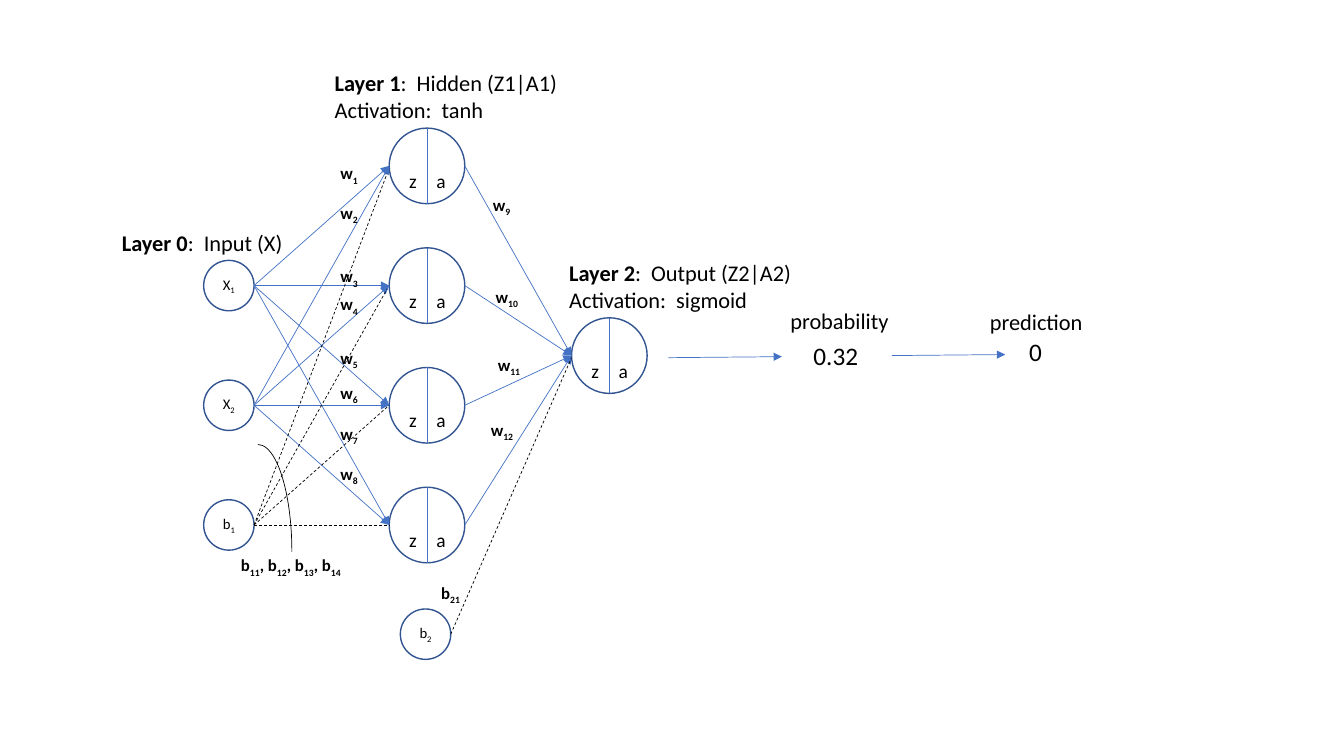
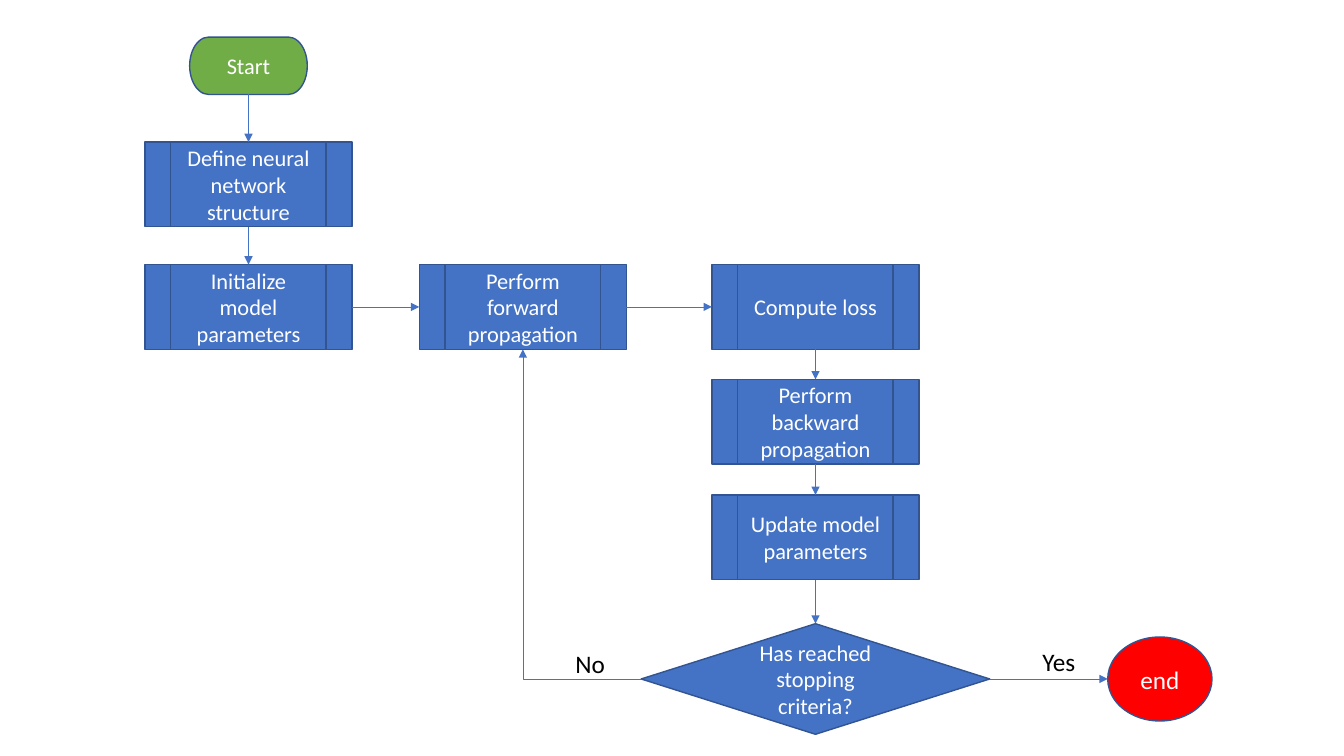
from lxml import etree
from pptx import Presentation
from pptx.dml.color import RGBColor
from pptx.enum import dml, shapes, text
from pptx.oxml import ns
from pptx.util import Pt

BLUE = RGBColor(0x44, 0x72, 0xC4)
NAVY = RGBColor(0x32, 0x54, 0x91)
GREEN = RGBColor(0x70, 0xAD, 0x47)
RED = RGBColor(0xFF, 0x00, 0x00)
BLACK = RGBColor(0x00, 0x00, 0x00)
WHITE = RGBColor(0xFF, 0xFF, 0xFF)
FONT = "Calibri"
PRESET = shapes.MSO_SHAPE
CIRCLE = PRESET.FLOWCHART_CONNECTOR
PROCESS = PRESET.FLOWCHART_PREDEFINED_PROCESS


def add_part(canvas, frame, paragraphs, size, preset=None, fill=None, ink=BLACK):
    frame = [Pt(length) for length in frame]
    if preset is None:
        part = canvas.add_textbox(*frame)
        part.text_frame.auto_size = text.MSO_AUTO_SIZE.SHAPE_TO_FIT_TEXT
    else:
        part = canvas.add_shape(preset, *frame)
        part.shadow.inherit = False
        part.line.color.rgb = NAVY
        part.line.width = Pt(1)
        part.text_frame.vertical_anchor = text.MSO_ANCHOR.MIDDLE
        if fill is None:
            part.fill.background()
        else:
            part.fill.solid()
            part.fill.fore_color.rgb = fill
    part.text_frame.word_wrap = True
    for number, pieces in enumerate(paragraphs):
        paragraph = part.text_frame.paragraphs[0] if number == 0 else part.text_frame.add_paragraph()
        paragraph.alignment = text.PP_ALIGN.CENTER if preset else text.PP_ALIGN.LEFT
        for wording, style in pieces:
            run = paragraph.add_run()
            run.text = wording
            run.font.name = FONT
            run.font.size = Pt(size)
            run.font.bold = "bold" in style
            run.font.color.rgb = ink
            if "sub" in style:
                run.font._element.set("baseline", "-25000")
    return part


def add_link(canvas, start, end, color=BLUE, arrow=True, dashed=False,
             route=shapes.MSO_CONNECTOR.STRAIGHT):
    link = canvas.add_connector(route, *[Pt(length) for length in (*start, *end)])
    link.line.color.rgb = color
    link.line.width = Pt(0.5)
    if dashed:
        link.line.dash_style = dml.MSO_LINE.DASH
    if arrow:
        etree.SubElement(link.line._get_or_add_ln(), ns.qn("a:tailEnd"), type="triangle")
    etree.SubElement(link._element.spPr, ns.qn("a:effectLst"))
    return link


deck = Presentation()
deck.slide_width = Pt(960)
deck.slide_height = Pt(540)
blank = deck.slide_layouts[6]

network = deck.slides.add_slide(blank).shapes

rows = [118.5 + 85.5 * row for row in range(4)]
input_size, neuron_size = 36, 54
input_left, hidden_left, output_left = 145.5, 278, 408.25
input_right = input_left + input_size
hidden_right = hidden_left + neuron_size
output_y = 254
second_bias = (286, 435)

inputs = [("X", "1", input_left, rows[1] - input_size / 2),
          ("X", "2", input_left, rows[2] - input_size / 2),
          ("b", "1", input_left, rows[3] - input_size / 2),
          ("b", "2", *second_bias)]
for letter, index, left, top in inputs:
    add_part(network, (left, top, input_size, input_size),
             [[(letter, ""), (index, "sub")]], 10.5, CIRCLE)

neurons = [(hidden_left, y) for y in rows] + [(output_left, output_y)]
for left, y in neurons:
    neuron = network.add_group_shape().shapes
    top, middle = y - neuron_size / 2, left + neuron_size / 2
    add_part(neuron, (left, top, neuron_size, neuron_size), [], 24, CIRCLE)
    add_link(neuron, (middle, top), (middle, top + neuron_size), arrow=False)
    for letter, offset in (("z", 7.2), ("a", 26.6)):
        add_part(neuron, (left + offset, top + 9.6, 20, 26.6), [[(letter, "sub")]], 24)

for source_y in rows[1:3]:
    for target_y in rows:
        add_link(network, (input_right, source_y), (hidden_left, target_y))
for y in rows:
    add_link(network, (hidden_right, y), (output_left, output_y))

bias_ends = [(276.5, 124), (276.5, 206.5), (hidden_left, rows[2]), (hidden_left, rows[3])]
bias_links = [((input_right, rows[3]), end) for end in bias_ends]
bias_links.append(((second_bias[0] + input_size, second_bias[1] + input_size / 2),
                   (output_left, 255.5)))
for start, end in bias_links:
    add_link(network, start, end, BLACK, arrow=False, dashed=True)

bias_arc = add_part(network, (160, 317.5, 48.5, 153.5), [], 12, PRESET.ARC)
bias_arc.line.color.rgb = BLACK
bias_arc.line.width = Pt(0.5)

weight_places = [(236, top) for top in (113, 141, 186.5, 206.5, 245, 270, 299, 327.5)]
weight_places += [(345, 135.5), (347, 201.5), (348.5, 250), (343.5, 296)]
for number, (left, top) in enumerate(weight_places, 1):
    add_part(network, (left, top, 39.6, 21.6),
             [[("w", "bold"), (str(number), "bold sub")]], 12)

first_biases = [("b", "bold"), ("11", "bold sub")]
for index in ("12", "13", "14"):
    first_biases += [(", b", "bold"), (index, "bold sub")]
add_part(network, (165, 393, 96.5, 21.6), [first_biases], 12)
add_part(network, (308, 412.5, 32.4, 22), [[("b", "bold"), ("21", "bold sub")]], 12)

layers = [("Layer 0", ":  Input (X)", None, (80, 160, 132.5, 26.6)),
          ("Layer 1", ":  Hidden (Z1|A1)", "Activation:  tanh", (232, 46, 179, 46)),
          ("Layer 2", ":  Output (Z2|A2)", "Activation:  sigmoid", (399.5, 181.5, 190, 46))]
for layer, role, activation, frame in layers:
    heading = [[(layer, "bold"), (role, "")]]
    if activation:
        heading.append([(activation, "")])
    add_part(network, frame, heading, 16)

results = [("probability", 16, (557.5, 216, 97, 26.6)), ("0.32", 18, (574, 239.5, 62.5, 29)),
           ("prediction", 16, (700, 216.5, 97, 26.6)), ("0", 18, (728, 237, 31.5, 29))]
for wording, size, frame in results:
    add_part(network, frame, [[(wording, "")]], size)
add_link(network, (477.5, 255.5), (558.5, 254.75))
add_link(network, (637, 254), (718, 253.25))

flow = deck.slides.add_slide(blank).shapes

setup_x, forward_x, loop_x = 177.5, 373.5, 582.5
process = (148, 60.5)
steps = [("Start", PRESET.FLOWCHART_TERMINATOR, GREEN, setup_x, 26.5, (84, 41), 16),
         ("Define neural network structure", PROCESS, BLUE, setup_x, 101.5, process, 16),
         ("Initialize model parameters", PROCESS, BLUE, setup_x, 189, process, 16),
         ("Perform forward propagation", PROCESS, BLUE, forward_x, 189, process, 16),
         ("Compute loss", PROCESS, BLUE, loop_x, 189, process, 16),
         ("Perform backward propagation", PROCESS, BLUE, loop_x, 271, process, 16),
         ("Update model parameters", PROCESS, BLUE, loop_x, 353.5, process, 16),
         ("Has reached stopping criteria?", PRESET.FLOWCHART_DECISION, BLUE,
          loop_x, 445.5, (249, 79), 16),
         ("end", CIRCLE, RED, 828.5, 455, (74.5, 60), 18)]
boxes = []
for wording, preset, fill, center, top, (width, height), size in steps:
    boxes.append(add_part(flow, (center - width / 2, top, width, height),
                          [[(wording, "")]], size, preset, fill, WHITE))
start, define, initialize, forward, loss, backward, update, decision, finish = boxes

TOP, LEFT, BOTTOM, RIGHT = range(4)
sequence = [(start, BOTTOM, define, TOP), (define, BOTTOM, initialize, TOP),
            (initialize, RIGHT, forward, LEFT), (forward, RIGHT, loss, LEFT),
            (loss, BOTTOM, backward, TOP), (backward, BOTTOM, update, TOP),
            (update, BOTTOM, decision, TOP)]
for source, exit_side, target, entry_side in sequence:
    step_link = add_link(flow, (0, 0), (0, 0))
    step_link.begin_connect(source, exit_side)
    step_link.end_connect(target, entry_side)

repeat = add_link(flow, (458, 485), (forward_x, 249.5), route=shapes.MSO_CONNECTOR.ELBOW)
repeat.begin_connect(decision, LEFT)
repeat.end_connect(forward, BOTTOM)
repeat._element.spPr.find(ns.qn("a:prstGeom")).set("prst", "bentConnector2")
turn = repeat._element.spPr.find(ns.qn("a:xfrm"))
for flip in ("flipH", "flipV"):
    turn.attrib.pop(flip, None)
turn.set("rot", "10800000")

leave = add_link(flow, (707, 485), (791.25, 485))
leave.begin_connect(decision, RIGHT)

for answer, left, top in (("No", 404, 459.5), ("Yes", 737.5, 458)):
    add_part(flow, (left, top, 44, 29), [[(answer, "")]], 18)

deck.save("out.pptx")
